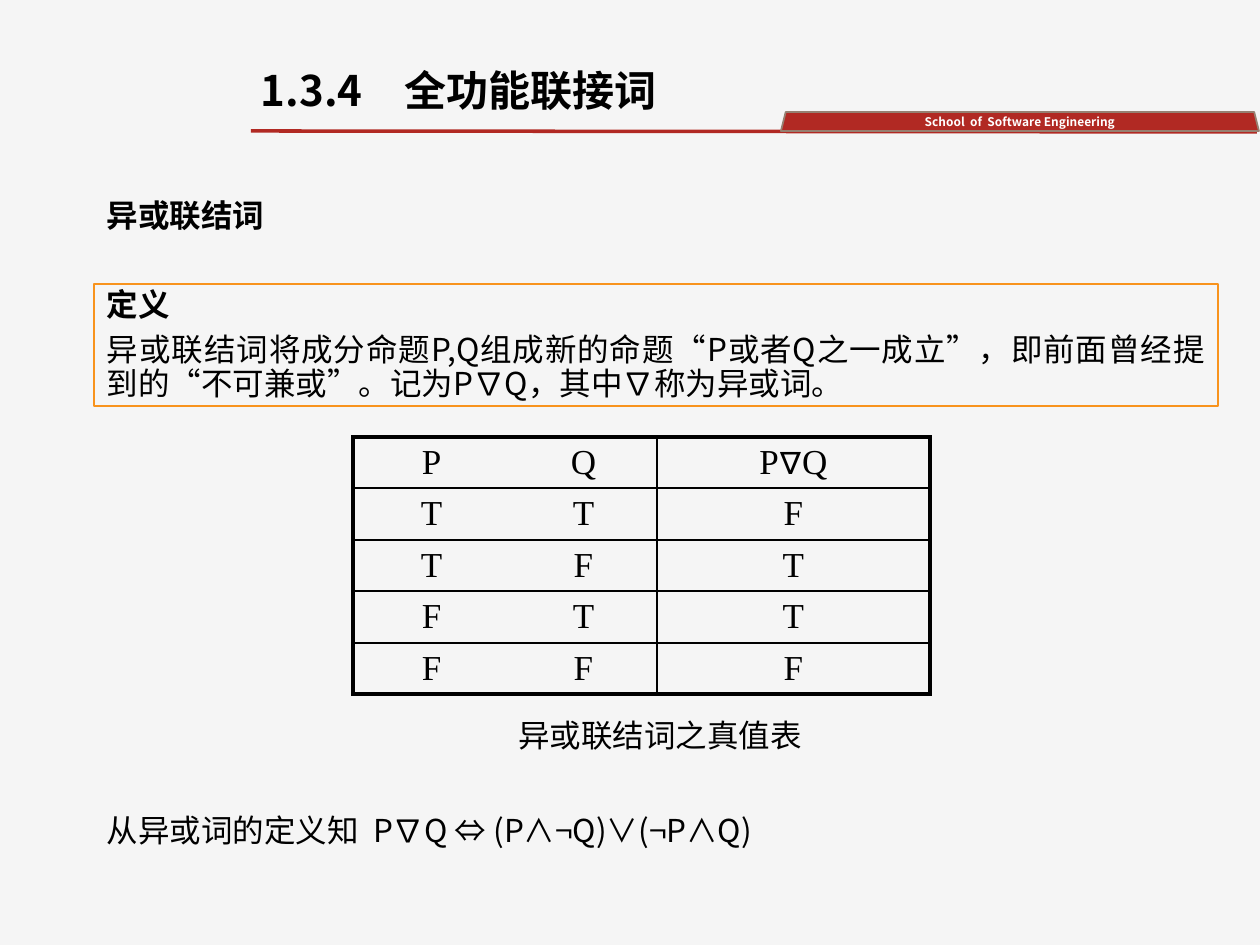
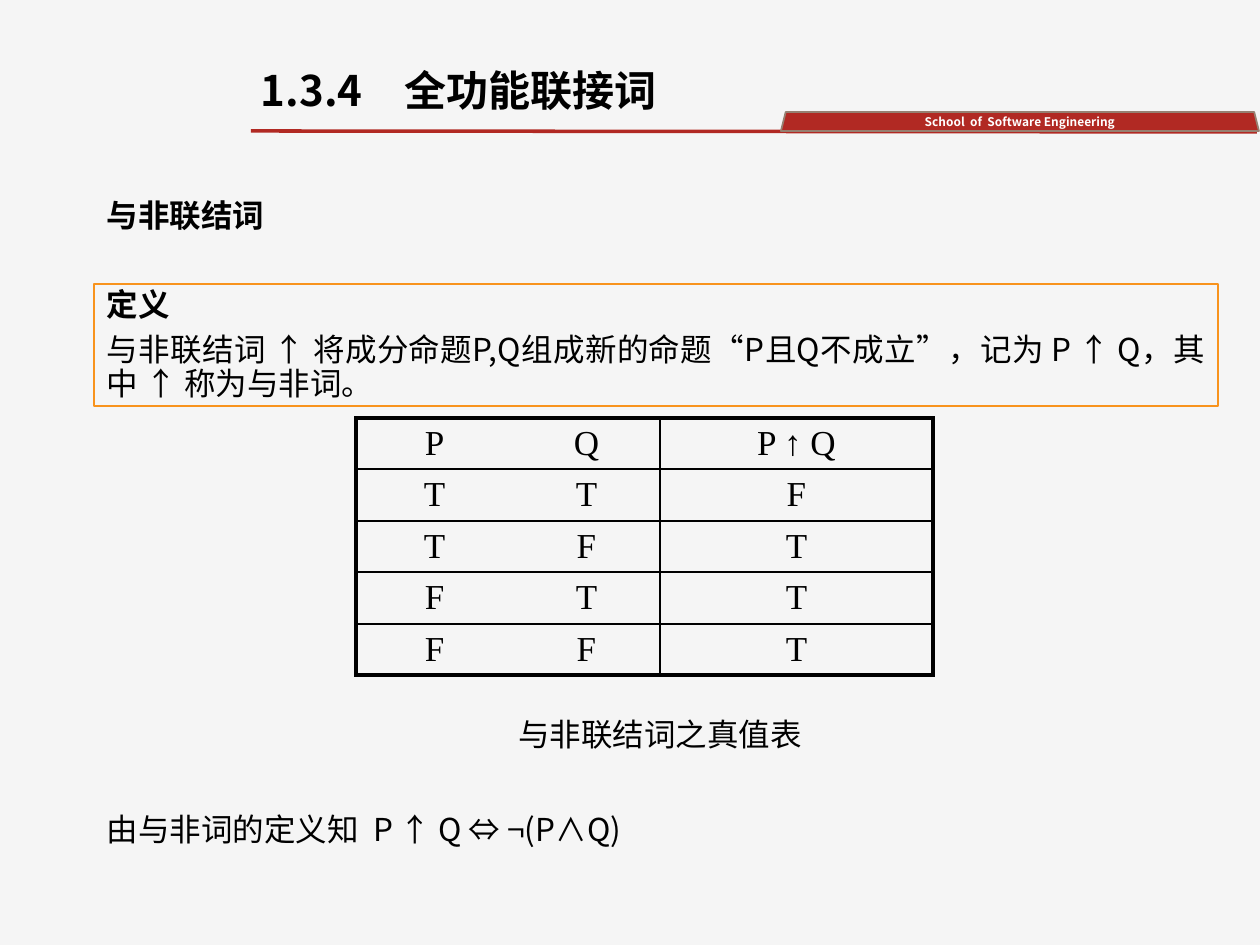
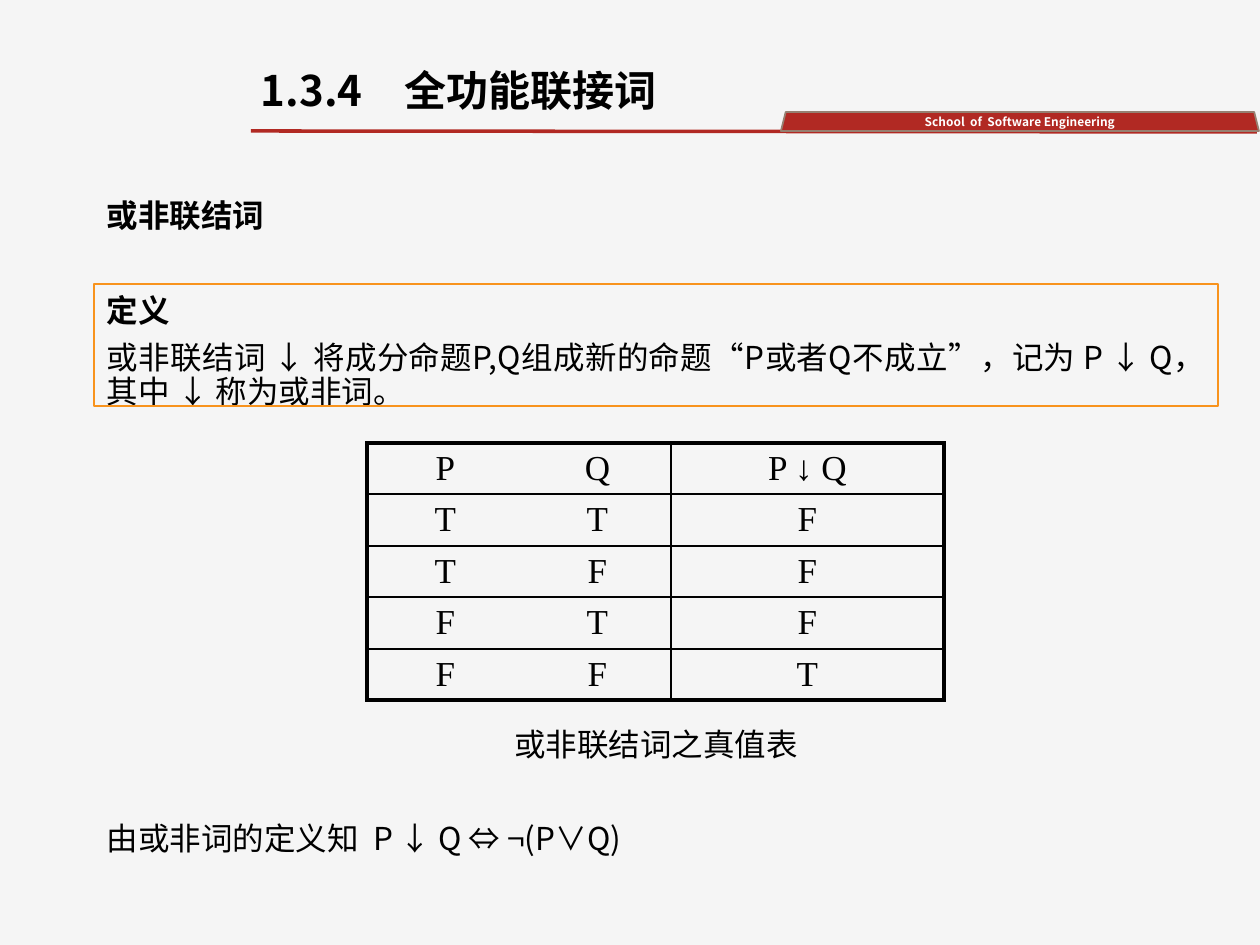
from dataclasses import dataclass
from itertools import product
from typing import Any

from lxml.etree import SubElement
from pptx import Presentation
from pptx.dml.color import RGBColor as Rgb
from pptx.enum.shapes import MSO_CONNECTOR as Connector, MSO_SHAPE as Preset
from pptx.enum.text import MSO_ANCHOR as Anchor, PP_ALIGN as Align
from pptx.oxml import parse_xml
from pptx.oxml.ns import nsdecls, qn
from pptx.util import Emu, Pt

EMU_PER_PX = 914400 / 126


@dataclass(frozen=True)
class Theme:
    background: str = "F5F5F5"
    ink: str = "000000"
    red: str = "B12923"
    band_edge: str = "968071"
    orange: str = "F8931D"
    white: str = "FFFFFF"
    sans: str = "Noto Sans CJK SC"
    serif: str = "Times New Roman"
    title_size: float = 24
    body_size: float = 18
    table_size: float = 20
    band_size: float = 6.8
    outer_rule: float = 2.25
    inner_rule: float = 1


@dataclass(frozen=True)
class Box:
    left: int
    top: int
    width: int
    height: int

    def emu(self) -> tuple[Emu, ...]:
        return tuple(px(n) for n in (self.left, self.top, self.width, self.height))


@dataclass(frozen=True)
class Line:
    text: str
    size: float = 18
    bold: bool = False
    color: str = "000000"
    font: str = "Noto Sans CJK SC"
    align: Align = Align.JUSTIFY
    before: int = 0
    pitch: int | None = None
    indent: int = 0


@dataclass(frozen=True)
class Connective:
    heading: str
    definition: str
    caption: str
    conclusion: str
    formula: str
    results: str
    table_left: int
    table_top: int
    gaps: tuple[int, int, int, int]
    caption_indent: int = 0


THEME = Theme()
TITLE = Line("1.3.4　全功能联接词", THEME.title_size, True, align=Align.LEFT, pitch=46)
SCHOOL = Line("School  of  Software Engineering", THEME.band_size, True, THEME.white, align=Align.CENTER)
TITLE_BOX = Box(248, 60, 573, 71)
BODY_BOX = Box(94, 191, 1124, 656)
DEFINITION_BOX = Box(94, 284, 1124, 122)
BAND_BOX = Box(781, 112, 478, 19)
TEXT_PITCH = 34
COLUMNS = (157, 147, 273)
ROWS = (51, 52, 51, 52, 51)
TEXT_FRAME = {"word_wrap": True, "margin_left": 13, "margin_right": 13, "margin_top": 9, "margin_bottom": 6}
BAND_FRAME = {"vertical_anchor": Anchor.MIDDLE, "margin_left": 0, "margin_right": 0, "margin_top": 0, "margin_bottom": 0}
CELL_FORMAT = {"vertical_anchor": Anchor.MIDDLE, "margin_top": 0, "margin_bottom": 0}

CONNECTIVES = (
    Connective(
        "异或联结词",
        "异或联结词将成分命题P,Q组成新的命题“P或者Q之一成立”，即前面曾经提到的“不可兼或”。记为P∇Q，其中∇称为异或词。",
        "异或联结词之真值表",
        "从异或词的定义知  P∇Q ⇔ (P∧¬Q)∨(¬P∧Q)",
        "P∇Q", "FTTF", 353, 437, (55, 11, 318, 61), 8,
    ),
    Connective(
        "与非联结词",
        "与非联结词 ↑ 将成分命题P,Q组成新的命题“P且Q不成立”，记为 P ↑ Q，其中 ↑ 称为与非词。",
        "与非联结词之真值表",
        "由与非词的定义知  P ↑ Q ⇔ ¬(P∧Q)",
        "P ↑ Q", "FTTT", 356, 418, (55, 11, 317, 61), 8,
    ),
    Connective(
        "或非联结词",
        "或非联结词 ↓ 将成分命题P,Q组成新的命题“P或者Q不成立”，记为 P ↓ Q，其中 ↓ 称为或非词。",
        "或非联结词之真值表",
        "由或非词的定义知  P ↓ Q ⇔ ¬(P∨Q)",
        "P ↓ Q", "FFFT", 367, 443, (61, 13, 319, 60),
    ),
)


def px(length: int) -> Emu:
    return Emu(round(length * EMU_PER_PX))


def apply(target: Any, values: dict[str, Any]) -> None:
    for name, value in values.items():
        setattr(target, name, px(value) if name.startswith("margin") else value)


def write(frame: Any, lines: list[Line]) -> None:
    for index, line in enumerate(lines):
        paragraph = frame.add_paragraph() if index else frame.paragraphs[0]
        paragraph.alignment = line.align
        if line.before:
            paragraph.space_before = px(line.before)
        if line.pitch:
            paragraph.line_spacing = px(line.pitch)
        if line.indent:
            paragraph._p.get_or_add_pPr().set("marL", str(px(line.indent)))
        run = paragraph.add_run()
        run.text = line.text
        apply(run.font, {"size": Pt(line.size), "bold": line.bold, "name": line.font})
        run.font.color.rgb = Rgb.from_string(line.color)
        SubElement(run._r.get_or_add_rPr(), qn("a:ea"), typeface=line.font)


def add_text(slide: Any, box: Box, lines: list[Line]) -> None:
    frame = slide.shapes.add_textbox(*box.emu()).text_frame
    apply(frame, TEXT_FRAME)
    write(frame, lines)


def stroke(line: Any, color: str, width: float) -> None:
    line.color.rgb = Rgb.from_string(color)
    line.width = Pt(width)


def add_header(slide: Any) -> None:
    rule = slide.shapes.add_connector(Connector.STRAIGHT, px(251), px(131), px(1257), px(132))
    stroke(rule.line, THEME.red, 2)
    SubElement(rule._element.spPr, qn("a:effectLst"))
    band = slide.shapes.add_shape(Preset.TRAPEZOID, *BAND_BOX.emu())
    band.shadow.inherit = False
    band.fill.solid()
    band.fill.fore_color.rgb = Rgb.from_string(THEME.red)
    stroke(band.line, THEME.band_edge, 1)
    apply(band.text_frame, BAND_FRAME)
    write(band.text_frame, [SCHOOL])
    add_text(slide, TITLE_BOX, [TITLE])


def add_body(slide: Any, item: Connective) -> None:
    before_label, before_definition, before_caption, before_conclusion = item.gaps
    add_text(slide, BODY_BOX, [
        Line(item.heading, bold=True, pitch=TEXT_PITCH),
        Line("定义", bold=True, before=before_label, pitch=TEXT_PITCH),
        Line(item.definition, before=before_definition, pitch=TEXT_PITCH),
        Line(item.caption, align=Align.CENTER, before=before_caption, pitch=TEXT_PITCH, indent=item.caption_indent),
        Line(item.conclusion, before=before_conclusion, pitch=TEXT_PITCH),
    ])


def set_borders(cell: Any, widths: dict[str, float]) -> None:
    properties = cell._tc.get_or_add_tcPr()
    for index, (side, width) in enumerate(widths.items()):
        paint = f'<a:solidFill><a:srgbClr val="{THEME.ink}"/></a:solidFill>' if width else "<a:noFill/>"
        border = parse_xml(f'<a:{side} {nsdecls("a")} w="{Pt(width)}">{paint}</a:{side}>')
        properties.insert(index, border)


def add_truth_table(slide: Any, item: Connective) -> None:
    inputs = product("TF", repeat=2)
    rows = [("P", "Q", item.formula)] + [(p, q, result) for (p, q), result in zip(inputs, item.results)]
    box = Box(item.table_left, item.table_top, sum(COLUMNS), sum(ROWS))
    table = slide.shapes.add_table(len(ROWS), len(COLUMNS), *box.emu()).table
    apply(table, {"first_row": False, "horz_banding": False})
    for column, width in zip(table.columns, COLUMNS):
        column.width = px(width)
    outer, inner = THEME.outer_rule, THEME.inner_rule
    verticals = (outer, 0, inner, outer)
    for r, (height, values) in enumerate(zip(ROWS, rows)):
        table.rows[r].height = px(height)
        for c, value in enumerate(values):
            cell = table.cell(r, c)
            apply(cell, CELL_FORMAT)
            cell.fill.background()
            set_borders(cell, {
                "lnL": verticals[c],
                "lnR": verticals[c + 1],
                "lnT": inner if r else outer,
                "lnB": inner if r < len(ROWS) - 1 else outer,
            })
            write(cell.text_frame, [Line(value, THEME.table_size, font=THEME.serif, align=Align.CENTER)])


def add_definition_frame(slide: Any) -> None:
    frame = slide.shapes.add_shape(Preset.RECTANGLE, *DEFINITION_BOX.emu())
    frame.shadow.inherit = False
    frame.fill.background()
    stroke(frame.line, THEME.orange, 1.5)


def main() -> None:
    deck = Presentation()
    apply(deck, {"slide_width": px(1260), "slide_height": px(945)})
    backdrop = deck.slide_master.background.fill
    backdrop.solid()
    backdrop.fore_color.rgb = Rgb.from_string(THEME.background)
    for item in CONNECTIVES:
        slide = deck.slides.add_slide(deck.slide_layouts[6])
        add_header(slide)
        add_body(slide, item)
        add_truth_table(slide, item)
        add_definition_frame(slide)
    deck.save("out.pptx")


if __name__ == "__main__":
    main()
